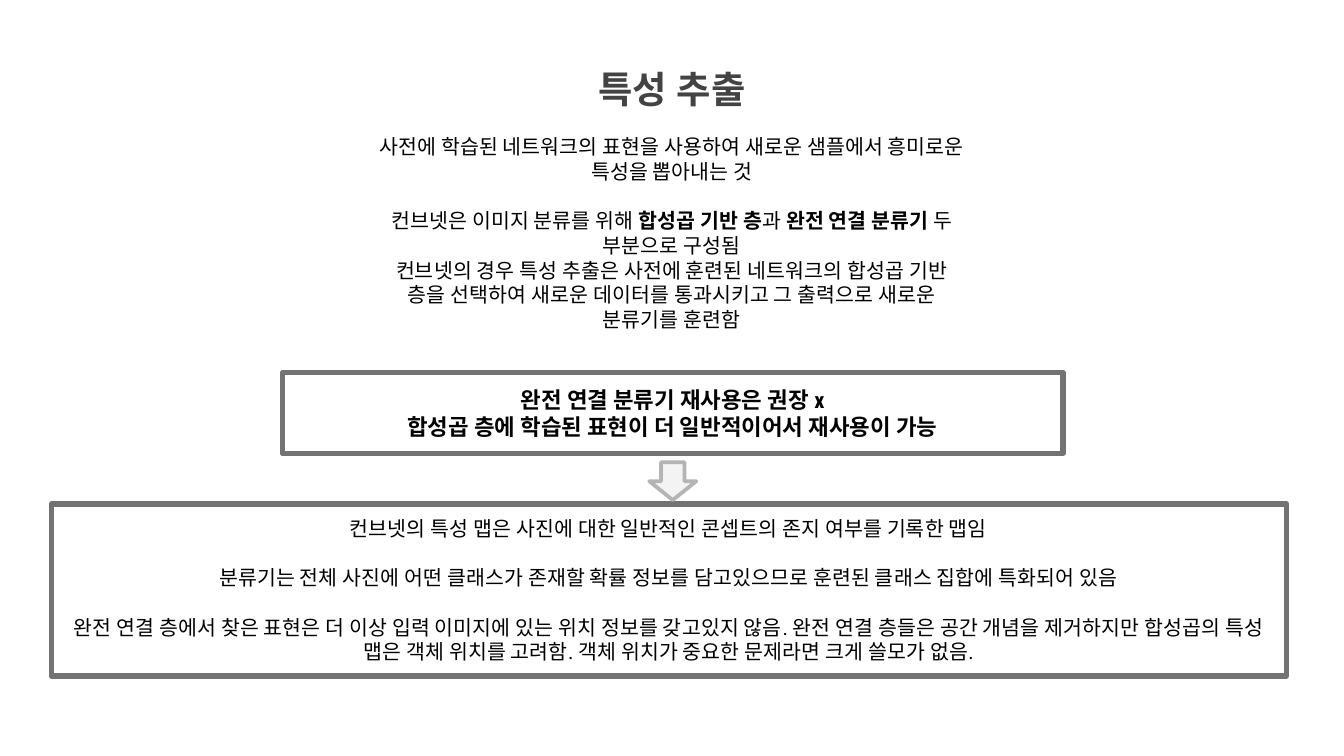
from dataclasses import dataclass

import pptx
import pptx.dml.color
import pptx.enum.shapes
import pptx.enum.text
import pptx.util
from lxml import etree
from pptx.util import Pt


@dataclass(frozen=True)
class Theme:
    title_font: str = "Roboto"
    body_font: str = "Roboto Condensed"
    title_size: float = 20
    body_size: float = 11
    key_size: float = 12
    title_color: str = "434343"
    text_color: str = "000000"
    frame_color: str = "737373"
    arrow_fill: str = "F3F3F3"
    arrow_line: str = "B4B4B4"
    frame_width: float = 2.75
    arrow_width: float = 2
    inset: float = 7.2
    gap: float = 13.2


THEME = Theme()
ANCHOR = pptx.enum.text.MSO_ANCHOR
SHAPE = pptx.enum.shapes.MSO_SHAPE


def rgb(value):
    return pptx.dml.color.RGBColor.from_string(value)


def place(sp, box):
    sp.left, sp.top, sp.width, sp.height = (Pt(v) for v in box)


def add_run(p, text, font, size, color, bold):
    r = p.add_run()
    r.text = text
    r.font.size = Pt(size)
    r.font.bold = bold
    r.font.color.rgb = rgb(color)
    r.font.name = font
    ea = etree.SubElement(r.font._element, pptx.oxml.ns.qn("a:ea"))
    ea.set("typeface", font)


def write(sp, paragraphs, size, anchor, font=THEME.body_font,
          color=THEME.text_color):
    tf = sp.text_frame
    tf.word_wrap = True
    tf.auto_size = pptx.enum.text.MSO_AUTO_SIZE.NONE
    tf.vertical_anchor = anchor
    tf.margin_left = tf.margin_right = Pt(THEME.inset)
    tf.margin_top = tf.margin_bottom = Pt(THEME.inset)
    for i, (before, runs) in enumerate(paragraphs):
        p = tf.paragraphs[0] if i == 0 else tf.add_paragraph()
        p.alignment = pptx.enum.text.PP_ALIGN.CENTER
        p.space_before = Pt(before)
        for text, bold in runs:
            add_run(p, text, font, size, color, bold)


def add_outlined(s, kind, box, line, width, fill=None):
    sp = s.shapes.add_shape(kind, *(Pt(v) for v in box))
    sp.shadow.inherit = False
    sp.line.color.rgb = rgb(line)
    sp.line.width = Pt(width)
    if fill:
        sp.fill.solid()
        sp.fill.fore_color.rgb = rgb(fill)
    else:
        sp.fill.background()
    return sp


def add_title(s, box, text):
    sp = s.shapes.title
    place(sp, box)
    write(sp, [(0, [(text, True)])], THEME.title_size, ANCHOR.TOP,
          THEME.title_font, THEME.title_color)


def add_body(s, box, paragraphs):
    sp = s.placeholders[1]
    place(sp, box)
    write(sp, paragraphs, THEME.body_size, ANCHOR.TOP)


def add_frame(s, box, paragraphs, size):
    sp = add_outlined(s, SHAPE.RECTANGLE, box, THEME.frame_color,
                      THEME.frame_width)
    write(sp, paragraphs, size, ANCHOR.MIDDLE)


def add_arrow(s, box):
    add_outlined(s, SHAPE.DOWN_ARROW, box, THEME.arrow_line,
                 THEME.arrow_width, THEME.arrow_fill)


def main():
    prs = pptx.Presentation()
    prs.slide_width, prs.slide_height = Pt(720), Pt(405)
    s = prs.slides.add_slide(prs.slide_layouts[0])

    add_title(s, (154.8, 28, 410.4, 74.2), "특성 추출")
    add_body(s, (193.7, 64.8, 332.6, 140.4), [
        (0, [("사전에 학습된 네트워크의 표현을 사용하여 새로운 샘플에서 흥미로운 "
              "특성을 뽑아내는 것", False)]),
        (THEME.gap, [("컨브넷은 이미지 분류를 위해 ", False),
                     ("합성곱 기반 층", True),
                     ("과 ", False),
                     ("완전 연결 분류기 ", True),
                     ("두 부분으로 구성됨", False)]),
        (0, [("컨브넷의 경우 특성 추출은 사전에 훈련된 네트워크의 합성곱 기반 "
              "층을 선택하여 새로운 데이터를 통과시키고 그 출력으로 새로운 "
              "분류기를 훈련함", False)]),
    ])
    add_frame(s, (151.2, 199.6, 418.3, 43.4), [
        (0, [("완전 연결 분류기 재사용은 권장 x", True)]),
        (0, [("합성곱 층에 학습된 표현이 더 일반적이어서 재사용이 가능", True)]),
    ], THEME.key_size)
    add_frame(s, (27.4, 270, 661.7, 92.2), [
        (0, [("컨브넷의 특성 맵은 사진에 대한 일반적인 콘셉트의 존지 여부를 "
              "기록한 맵임", False)]),
        (THEME.gap, [("분류기는 전체 사진에 어떤 클래스가 존재할 확률 정보를 "
                      "담고있으므로 훈련된 클래스 집합에 특화되어 있음", False)]),
        (THEME.gap, [("완전 연결 층에서 찾은 표현은 더 이상 입력 이미지에 있는 "
                      "위치 정보를 갖고있지 않음. 완전 연결 층들은 공간 개념을 "
                      "제거하지만 합성곱의 특성 맵은 객체 위치를 고려함. 객체 "
                      "위치가 중요한 문제라면 크게 쓸모가 없음.", False)]),
    ], THEME.body_size)
    add_arrow(s, (347.8, 247.7, 25.2, 20.2))

    prs.save("out.pptx")


if __name__ == "__main__":
    main()
